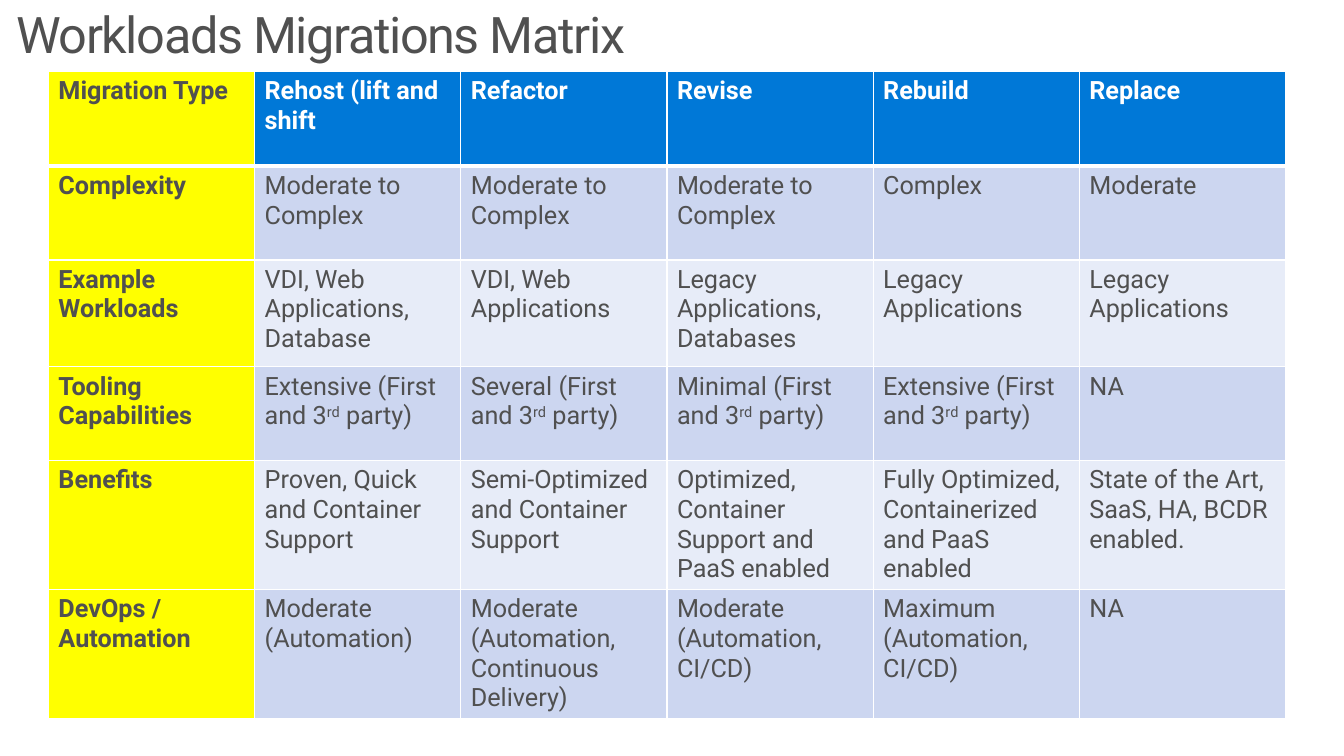
"""Build the workloads migrations matrix slide."""
from lxml.etree import SubElement
from pptx import Presentation
from pptx.dml.color import RGBColor
from pptx.enum.text import MSO_ANCHOR, MSO_AUTO_SIZE, PP_ALIGN
from pptx.oxml.ns import qn
from pptx.util import Inches, Pt

COLORS = {"text": "505050", "white": "FFFFFF", "label": "FFFF00",
          "header": "0078D7", "odd": "CCD6F0", "even": "E7ECF8"}
FONT = "Roboto"
ROWS = [
    ["Migration Type", "Rehost (lift and shift", "Refactor", "Revise", "Rebuild", "Replace"],
    ["Complexity", "Moderate to Complex", "Moderate to Complex", "Moderate to Complex",
     "Complex", "Moderate"],
    ["Example Workloads", "VDI, Web Applications, Database", "VDI, Web Applications",
     "Legacy Applications, Databases", "Legacy Applications", "Legacy Applications"],
    ["Tooling Capabilities", "Extensive (First and 3^rd^ party)",
     "Several (First and 3^rd^ party)", "Minimal (First and 3^rd^ party)",
     "Extensive (First and 3^rd^ party)", "NA"],
    ["Benefits", "Proven, Quick and Container Support", "Semi-Optimized and Container Support",
     "Optimized, Container Support and PaaS enabled",
     "Fully Optimized, Containerized and PaaS enabled",
     "State of the Art, SaaS, HA, BCDR enabled."],
    ["DevOps / Automation", "Moderate\n(Automation)",
     "Moderate\n(Automation, Continuous Delivery)", "Moderate (Automation, CI/CD)",
     "Maximum (Automation, CI/CD)", "NA"],
]
HEIGHTS = [0.94, 0.93, 1.06, 0.93, 1.28, 1.28]


def set_font(font, size, color, bold=False):
    font.name, font.size, font.bold = FONT, Pt(size), bold
    font.color.rgb = RGBColor.from_string(COLORS[color])


def add_border(cell, side, width):
    ln = SubElement(cell._tc.get_or_add_tcPr(), qn(f"a:ln{side}"), w=str(Pt(width)))
    fill = SubElement(ln, qn("a:solidFill"))
    SubElement(fill, qn("a:srgbClr"), val=COLORS["white"])


prs = Presentation()
prs.slide_width, prs.slide_height = Inches(13.33), Inches(7.5)
s = prs.slides.add_slide(prs.slide_layouts[5])

title = s.shapes.title
title.left, title.top, title.width, title.height = 0, 0, Inches(12.75), Inches(0.83)
tf = title.text_frame
tf.text = "Workloads Migrations Matrix"
tf.word_wrap = True
tf.auto_size = MSO_AUTO_SIZE.NONE
tf.vertical_anchor = MSO_ANCHOR.TOP
tf.margin_left = tf.margin_right = Inches(0.16)
tf.margin_top = tf.margin_bottom = Inches(0.1)
p = tf.paragraphs[0]
p.alignment = PP_ALIGN.LEFT
p.line_spacing = 0.9
set_font(p.font, 36, "text")
p.runs[0].font._element.set("spc", "-100")

table = s.shapes.add_table(len(ROWS), len(ROWS[0]), Inches(0.48), Inches(0.71),
                           Inches(12.27), Inches(sum(HEIGHTS))).table
table.horz_banding = False
for row, height in zip(table.rows, HEIGHTS):
    row.height = Inches(height)

for i, row in enumerate(ROWS):
    for j, text in enumerate(row):
        cell = table.cell(i, j)
        for side in "LRTB":
            thick = (i == 0 and side == "B") or (i == 1 and side == "T")
            add_border(cell, side, 3 if thick else 1)
        band = "header" if i == 0 else "odd" if i % 2 else "even"
        cell.fill.solid()
        cell.fill.fore_color.rgb = RGBColor.from_string(COLORS["label" if j == 0 else band])
        tf = cell.text_frame
        for n, line in enumerate(text.split("\n")):
            p = tf.add_paragraph() if n else tf.paragraphs[0]
            set_font(p.font, 18, "white" if i == 0 and j else "text", i == 0 or j == 0)
            for k, part in enumerate(line.split("^")):
                r = p.add_run()
                r.text = part
                if k % 2:
                    r.font._element.set("baseline", "30000")

prs.save("out.pptx")
